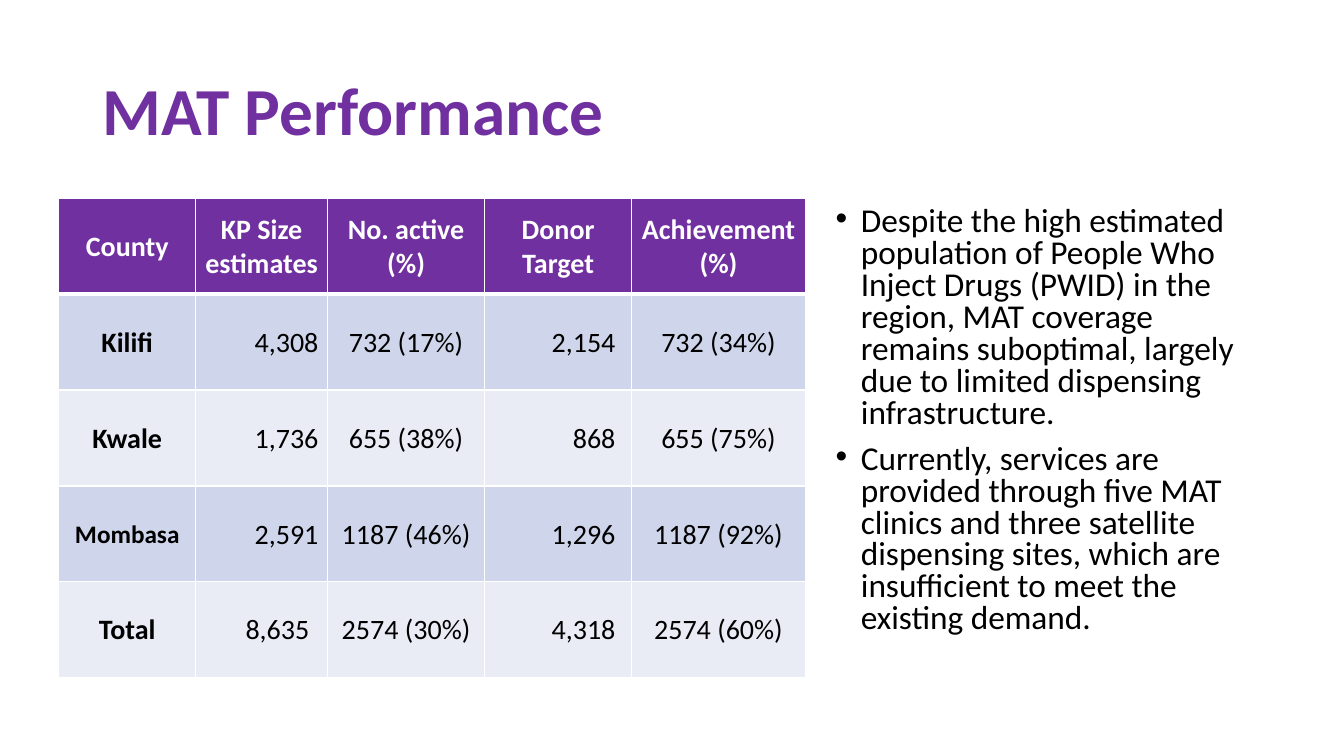
from dataclasses import dataclass

from lxml import etree
from pptx import Presentation
from pptx import util as u
from pptx.dml.color import RGBColor
from pptx.enum import text
from pptx.oxml import ns


@dataclass(frozen=True)
class Theme:
    font: str = "Calibri"
    purple: str = "7030A0"
    white: str = "FFFFFF"
    black: str = "000000"
    bands: tuple = ("CFD5EA", "E9EBF5")
    title_size: float = 48
    body_size: float = 23.8
    table_size: float = 20
    small_size: float = 18


HEADERS = ["County", "KP Size estimates", "No. active (%)", "Donor\nTarget", "Achievement (%)"]
COUNTIES = [
    ["Kilifi", "4,308", "732 (17%)", "2,154", "732 (34%)"],
    ["Kwale", "1,736", "655 (38%)", "868", "655 (75%)"],
    ["Mombasa", "2,591", "1187 (46%)", "1,296", "1187 (92%)"],
    ["Total", "8,635", "2574 (30%)", "4,318", "2574 (60%)"],
]
COLUMN_WIDTHS = [16.3, 15.7, 18.7, 17.5, 20.7]
COUNT_MARGINS = {1: 0.09, 3: 0.16}  # right margins of the count columns, in inches
TOTAL_MARGINS = {1: 0.18, 3: 0.16}
POINTS = [
    "Despite the high estimated population of People Who Inject Drugs (PWID) in the region, "
    "MAT coverage remains suboptimal, largely due to limited dispensing infrastructure.",
    "Currently, services are provided through five MAT clinics and three satellite dispensing "
    "sites, which are insufficient to meet the existing demand.",
]


class SlideBuilder:
    """Places elements on a grid of 160 columns by 90 rows."""

    def __init__(self, presentation, theme):
        self.theme = theme
        self.column = presentation.slide_width / 160
        self.row = presentation.slide_height / 90
        self.slide = presentation.slides.add_slide(presentation.slide_layouts[6])

    def box(self, left, top, width, height):
        return [round(left * self.column), round(top * self.row),
                round(width * self.column), round(height * self.row)]

    def style(self, paragraph, size, color, bold=False):
        font = paragraph.font
        font.name, font.size, font.bold = self.theme.font, u.Pt(size), bold
        font.color.rgb = RGBColor.from_string(color)

    def text_frame(self, *area):
        frame = self.slide.shapes.add_textbox(*self.box(*area)).text_frame
        frame.word_wrap = True
        return frame

    def title(self, words, *area):
        frame = self.text_frame(*area)
        frame.vertical_anchor = text.MSO_ANCHOR.MIDDLE
        paragraph = frame.paragraphs[0]
        paragraph.text = words
        paragraph.line_spacing = 0.9
        self.style(paragraph, self.theme.title_size, self.theme.purple, True)

    def bullets(self, points, *area):
        frame = self.text_frame(*area)
        frame.text = "\n".join(points)
        for index, paragraph in enumerate(frame.paragraphs):
            properties = paragraph._p.get_or_add_pPr()
            properties.set("marL", str(u.Inches(0.25)))
            properties.set("indent", str(-u.Inches(0.25)))
            etree.SubElement(properties, ns.qn("a:buFont"), typeface="Arial")
            etree.SubElement(properties, ns.qn("a:buChar"), char="•")
            paragraph.line_spacing = 0.8
            paragraph.space_before = u.Pt(10 if index else 0)
            self.style(paragraph, self.theme.body_size, self.theme.black)

    def borders(self, cell, top, bottom):
        properties = cell._tc.get_or_add_tcPr()
        widths = {"lnL": 1, "lnR": 1, "lnT": top, "lnB": bottom}
        for position, (side, width) in enumerate(widths.items()):
            line = etree.Element(ns.qn(f"a:{side}"), w=str(u.Pt(width)))
            fill = etree.SubElement(line, ns.qn("a:solidFill"))
            etree.SubElement(fill, ns.qn("a:srgbClr"), val=self.theme.white)
            properties.insert(position, line)

    def cell(self, cell, words, fill, color, size, bold, right_margin=None):
        cell.text = words
        cell.vertical_anchor = text.MSO_ANCHOR.MIDDLE
        cell.margin_left = cell.margin_top = u.Inches(0.01)
        cell.margin_right = u.Inches(right_margin or 0.01)
        cell.margin_bottom = 0
        cell.fill.solid()
        cell.fill.fore_color.rgb = RGBColor.from_string(fill)
        for paragraph in cell.text_frame.paragraphs:
            paragraph.alignment = text.PP_ALIGN.RIGHT if right_margin else text.PP_ALIGN.CENTER
            self.style(paragraph, size, color, bold)

    def table(self, headers, records, widths, left, top, height):
        theme = self.theme
        rows = [headers] + records
        area = self.box(left, top, sum(widths), height)
        table = self.slide.shapes.add_table(len(rows), len(headers), *area).table
        table.first_row = table.horz_banding = False
        for column, width in zip(table.columns, widths):
            column.width = round(width * self.column)
        for r, record in enumerate(rows):
            header = r == 0
            fill = theme.purple if header else theme.bands[(r - 1) % 2]
            color = theme.white if header else theme.black
            margins = TOTAL_MARGINS if r == len(records) else COUNT_MARGINS
            for c, words in enumerate(record):
                cell = table.cell(r, c)
                size = theme.small_size if words == "Mombasa" else theme.table_size
                self.cell(cell, words, fill, color, size, header or c == 0,
                          None if header else margins.get(c))
                self.borders(cell, 3 if r == 1 else 1, 3 if header else 1)


def main():
    presentation = Presentation()
    presentation.slide_width, presentation.slide_height = u.Inches(13.33), u.Inches(7.5)
    builder = SlideBuilder(presentation, Theme())

    # Heading
    builder.title("MAT Performance", 11, 4.8, 138, 17.4)

    # County results
    builder.table(HEADERS, COUNTIES, COLUMN_WIDTHS, 7, 23.6, 57.1)

    # Commentary
    builder.bullets(POINTS, 98.3, 24, 50.7, 57.1)

    presentation.save("out.pptx")


if __name__ == "__main__":
    main()
